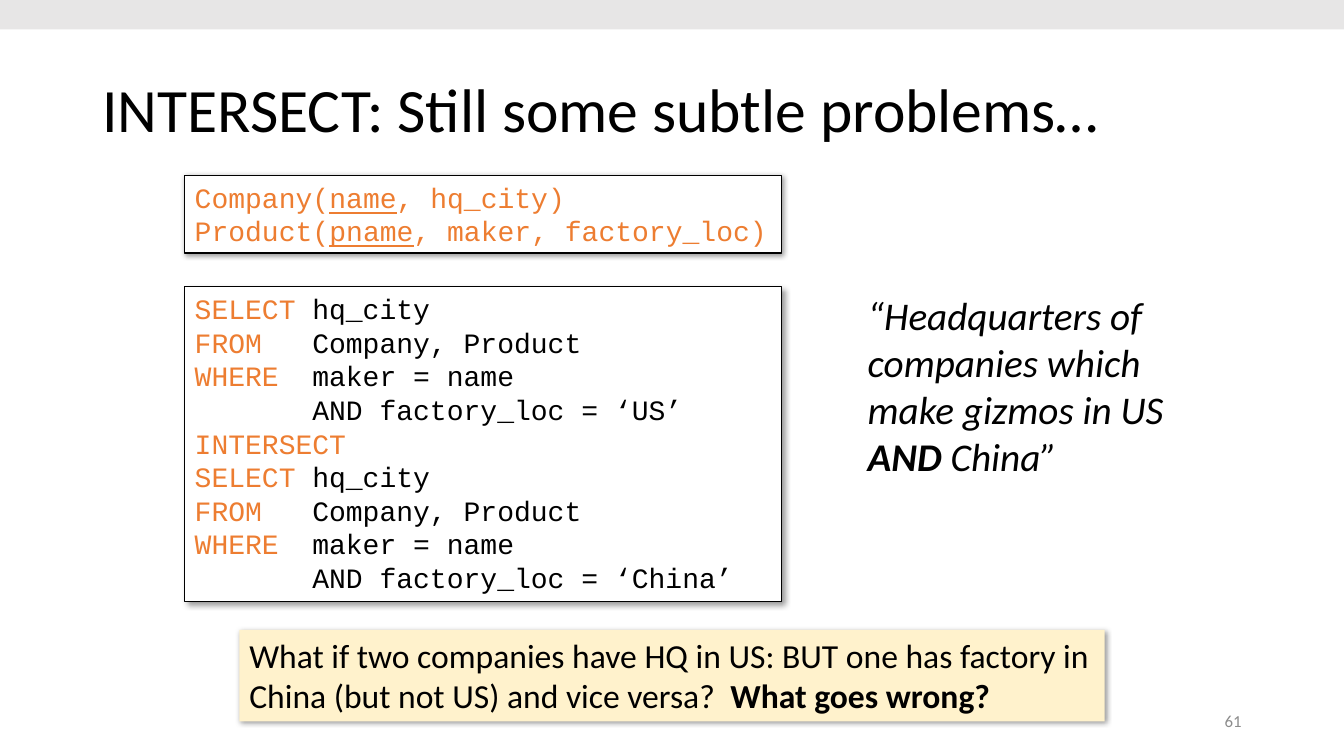
from lxml.etree import SubElement
from pptx import Presentation
from pptx.dml.color import RGBColor
from pptx.enum.shapes import MSO_SHAPE
from pptx.enum.text import MSO_ANCHOR, PP_ALIGN
from pptx.oxml.ns import qn
from pptx.util import Pt

PX = 9525
BLACK, ORANGE, GRAY = "000000", "ED7D31", "8C8C8C"
WHITE, CREAM, BAND = "FFFFFF", "FFF2CC", "E7E6E6"
SANS, MONO = "Calibri", "Courier New"
CODE_INDENT = 112

TITLE = "INTERSECT: Still some subtle problems…"
SCHEMA = [
    [("Company(", ""), ("name", "u"), (", hq_city)", "")],
    [("Product(", ""), ("pname", "u"), (", maker, factory_loc)", "")],
]


def select_block(place):
    return [
        ("SELECT", "hq_city"),
        ("FROM", "Company, Product"),
        ("WHERE", "maker = name"),
        ("", f"AND factory_loc = ‘{place}’"),
    ]


QUERY = select_block("US") + [("INTERSECT", "")] + select_block("China")
QUESTION = [[
    ("What if two companies have HQ in US: BUT one has factory in China "
     "(but not US) and vice versa?  ", ""),
    ("What goes wrong?", "b"),
]]
QUOTE = [[
    ("“Headquarters of companies which make gizmos in US ", "i"),
    ("AND", "bi"),
    (" China”", "i"),
]]
NUMBER = [[("61", "")]]


def rgb(color):
    return RGBColor.from_string(color)


def place(sp, box):
    sp.left, sp.top, sp.width, sp.height = (v * PX for v in box)


def add_rect(s, box, fill, line=None, shadow=0):
    sp = s.shapes.add_shape(MSO_SHAPE.RECTANGLE, *(v * PX for v in box))
    sp.fill.solid()
    sp.fill.fore_color.rgb = rgb(fill)
    if line:
        sp.line.color.rgb = rgb(line)
        sp.line.width = Pt(0.75)
    else:
        sp.line.fill.background()
    sp.shadow.inherit = False
    if shadow:
        effects = sp._element.spPr.find(qn("a:effectLst"))
        outer = SubElement(effects, qn("a:outerShdw"), blurRad=str(Pt(4)),
                           dist=str(Pt(shadow)), dir="2700000",
                           algn="tl", rotWithShape="0")
        clr = SubElement(outer, qn("a:srgbClr"), val=BLACK)
        SubElement(clr, qn("a:alpha"), val="40000")
    return sp


def add_text(s, box):
    return s.shapes.add_textbox(*(v * PX for v in box))


def set_font(p, name, size, color):
    p.font.name, p.font.size = name, Pt(size)
    p.font.color.rgb = rgb(color)


def paragraphs(tf, items):
    for i, item in enumerate(items):
        p = tf.add_paragraph() if i else tf.paragraphs[0]
        p.alignment = PP_ALIGN.LEFT
        yield p, item


def write(sp, lines, name, size, color, wrap=True):
    tf = sp.text_frame
    tf.word_wrap = wrap
    tf.vertical_anchor = MSO_ANCHOR.TOP
    for p, runs in paragraphs(tf, lines):
        set_font(p, name, size, color)
        for text, style in runs:
            r = p.add_run()
            r.text = text
            r.font.name, r.font.size = name, Pt(size)
            r.font.color.rgb = rgb(color)
            r.font.bold = "b" in style
            r.font.italic = "i" in style
            r.font.underline = "u" in style
    return tf


def write_query(sp, lines):
    tf = sp.text_frame
    tf.word_wrap = True
    tf.vertical_anchor = MSO_ANCHOR.TOP
    for p, (keyword, rest) in paragraphs(tf, lines):
        pPr = p._p.get_or_add_pPr()
        pPr.set("marL", str(CODE_INDENT * PX))
        pPr.set("indent", str(-CODE_INDENT * PX if keyword else 0))
        gap = "\t" if keyword and rest else ""
        for text, color in ((keyword + gap, ORANGE), (rest, BLACK)):
            if text:
                r = p.add_run()
                r.text = text
                r.font.name, r.font.size = MONO, Pt(20)
                r.font.color.rgb = rgb(color)


def main():
    prs = Presentation()
    prs.slide_width, prs.slide_height = 1280 * PX, 720 * PX
    s = prs.slides.add_slide(prs.slide_layouts[5])

    title = s.shapes.title
    place(title, (88, 38, 1104, 139))
    title.text_frame.text = TITLE
    title.text_frame.vertical_anchor = MSO_ANCHOR.MIDDLE
    p = title.text_frame.paragraphs[0]
    p.alignment, p.line_spacing = PP_ALIGN.LEFT, 0.9
    set_font(p, SANS, 44, BLACK)

    tf = write(add_text(s, (904, 667, 288, 38)), NUMBER, SANS, 12, GRAY)
    tf.vertical_anchor = MSO_ANCHOR.MIDDLE
    tf.paragraphs[0].alignment = PP_ALIGN.RIGHT

    schema = add_rect(s, (176, 167, 568, 74), WHITE, BLACK, 1)
    write(schema, SCHEMA, MONO, 20, ORANGE, wrap=False)
    query = add_rect(s, (176, 273, 568, 300), WHITE, BLACK, 3)
    write_query(query, QUERY)
    question = add_rect(s, (228, 600, 824, 87), CREAM, shadow=1)
    write(question, QUESTION, SANS, 24, BLACK)
    write(add_text(s, (817, 273, 316, 191)), QUOTE, SANS, 28, BLACK)
    add_rect(s, (0, 0, 1280, 28), BAND)

    prs.save("out.pptx")


if __name__ == "__main__":
    main()
